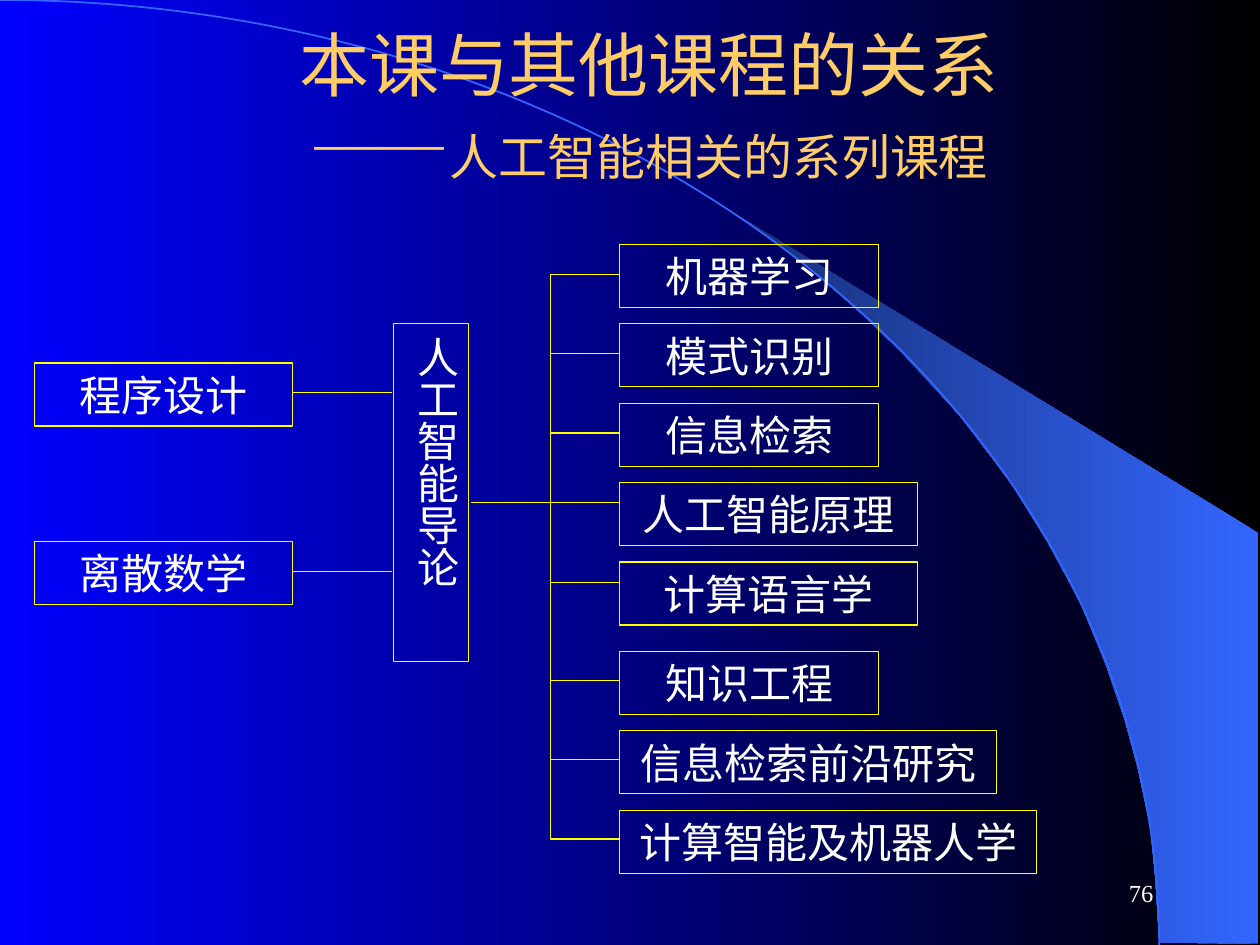
from lxml import etree
from pptx import Presentation
from pptx.dml.color import RGBColor
from pptx.enum import shapes, text
from pptx.oxml import ns
from pptx.util import Pt

COLORS = {
    "black": "000000",
    "blue": "0000FF",
    "sky": "3366FF",
    "navy": "172F75",
    "gold": "FFCC66",
    "yellow": "FFFF00",
    "white": "FFFFFF",
}
PREREQUISITES = ["程序设计", "离散数学"]
COURSES = [
    ("机器学习", 148, 17),
    ("模式识别", 148, 17),
    ("信息检索", 148, 17),
    ("人工智能原理", 170, 11.5),
    ("计算语言学", 170, 11.5),
    ("知识工程", 148, 16.5),
    ("信息检索前沿研究", 215.5, 16.5),
    ("计算智能及机器人学", 238, 16.5),
]
WEDGE = [
    (238.5, 414), (295.2, 414.7), (295.2, 180), (0, 0), (25.2, 18.7),
    (46.1, 35.3), (69.1, 55.4), (91.4, 77), (124.6, 113), (154.1, 151.9),
    (175, 185.8), (193.7, 220.3), (208.1, 255.6), (218.9, 287.3),
    (226.1, 313.9), (233.3, 347.8), (236.2, 376.6),
]


def rgb(name):
    return RGBColor.from_string(COLORS[name])


def paint_gradient(fill, first, last):
    fill.gradient()
    fill.gradient_angle = 180
    for stop, name, position in zip(fill.gradient_stops, (first, last), (0, 1)):
        stop.color.rgb = rgb(name)
        stop.position = position


def style_line(sp, color="yellow", width=0.75):
    sp.line.color.rgb = rgb(color)
    sp.line.width = Pt(width)


def style_run(r, size, font, color):
    r.font.size = Pt(size)
    r.font.name = font
    r.font.color.rgb = rgb(color)


def add_path(s, points, close):
    (x, y), *rest = [(Pt(px), Pt(py)) for px, py in points]
    builder = s.shapes.build_freeform(x, y, scale=1.0)
    builder.add_line_segments(rest, close=close)
    sp = builder.convert_to_shape()
    sp.shadow.inherit = False
    return sp


def add_link(s, x1, y1, x2, y2):
    sp = s.shapes.add_connector(
        shapes.MSO_CONNECTOR.STRAIGHT, Pt(x1), Pt(y1), Pt(x2), Pt(y2))
    style_line(sp)
    etree.SubElement(sp._element.spPr, ns.qn("a:effectLst"))


def add_course(s, name, x, y, w, h, vertical=False):
    sp = s.shapes.add_shape(
        shapes.MSO_SHAPE.RECTANGLE, Pt(x), Pt(y), Pt(w), Pt(h))
    sp.shadow.inherit = False
    sp.fill.background()
    style_line(sp)
    tf = sp.text_frame
    tf.text = name
    tf.word_wrap = True
    tf.vertical_anchor = text.MSO_ANCHOR.TOP
    if vertical:
        tf._txBody.bodyPr.set("vert", "eaVert")
        tf.margin_left = tf.margin_right = Pt(3.6)
        tf.margin_top = tf.margin_bottom = Pt(7.2)
    p = tf.paragraphs[0]
    p.alignment = text.PP_ALIGN.CENTER
    style_run(p.runs[0], 24, "Times New Roman", "white")


def add_text(s, content, x, y, w, h, align):
    sp = s.shapes.add_textbox(Pt(x), Pt(y), Pt(w), Pt(h))
    tf = sp.text_frame
    tf.word_wrap = True
    tf.vertical_anchor = text.MSO_ANCHOR.MIDDLE
    p = tf.paragraphs[0]
    p.text = content
    p.alignment = align
    return p


def draw_backdrop(s, x, y, w, h):
    paint_gradient(s.background.fill, "black", "blue")
    wedge = add_path(s, [(x + 424 + px, y + 124.6 + py) for px, py in WEDGE], True)
    paint_gradient(wedge.fill, "sky", "navy")
    wedge.line.fill.background()
    radius = w * 0.92
    arc = s.shapes.add_shape(
        shapes.MSO_SHAPE.ARC, Pt(x - radius), Pt(y), Pt(2 * radius), Pt(2 * h))
    arc.shadow.inherit = False
    arc.fill.background()
    style_line(arc, "sky", 1)


def draw_title(s, x, y, w, h):
    p = add_text(s, "本课与其他课程的关系\v——", x, y, w, h, text.PP_ALIGN.CENTER)
    for r in p.runs:
        style_run(r, 40, "Arial", "gold")
    r = p.add_run()
    r.text = "人工智能相关的系列课程"
    style_run(r, 28, "Arial", "gold")


def draw_prerequisites(s, x, y, w, h):
    box_w, box_h = 147.6, 36
    pitch = h - box_h
    for i, name in enumerate(PREREQUISITES):
        top = y + i * pitch
        add_course(s, name, x, top, box_w, box_h)
        add_link(s, x + box_w, top + 17, x + w, top + 17)


def draw_followups(s, x, y, w, h):
    stem, branch, box_h, group_gap = 45.4, 39.6, 36, 5.7
    pitch = (h - box_h - group_gap) / (len(COURSES) - 1)
    trunk_x = x + stem
    box_x = trunk_x + branch
    joints = []
    for i, (name, width, drop) in enumerate(COURSES):
        top = y + i * pitch + (group_gap if i >= 5 else 0)
        add_course(s, name, box_x, top, width, box_h)
        joints.append(top + drop)
    first, *middle, last = joints
    trunk = add_path(
        s, [(box_x, first), (trunk_x, first), (trunk_x, last), (box_x, last)], False)
    trunk.fill.background()
    style_line(trunk)
    add_link(s, x, joints[3], trunk_x, joints[3])
    for joint in middle:
        add_link(s, trunk_x, joint, box_x, joint)


def draw_page_number(s, x, y, w, h):
    p = add_text(s, "76", x, y, w, h, text.PP_ALIGN.RIGHT)
    style_run(p.runs[0], 14, "Times New Roman", "white")


def main():
    prs = Presentation()
    prs.slide_width, prs.slide_height = Pt(720), Pt(540)
    s = prs.slides.add_slide(prs.slide_layouts[6])
    draw_backdrop(s, 0, 0, 720, 540)
    draw_title(s, 64.8, 15, 612, 90)
    add_course(s, "人工智能导论", 224.7, 185, 43.2, 193, vertical=True)
    draw_prerequisites(s, 19.6, 207.5, 204.4, 138)
    draw_followups(s, 269.2, 139.7, 323.4, 359.3)
    draw_page_number(s, 516.2, 492, 150, 36)
    prs.save("out.pptx")


if __name__ == "__main__":
    main()
